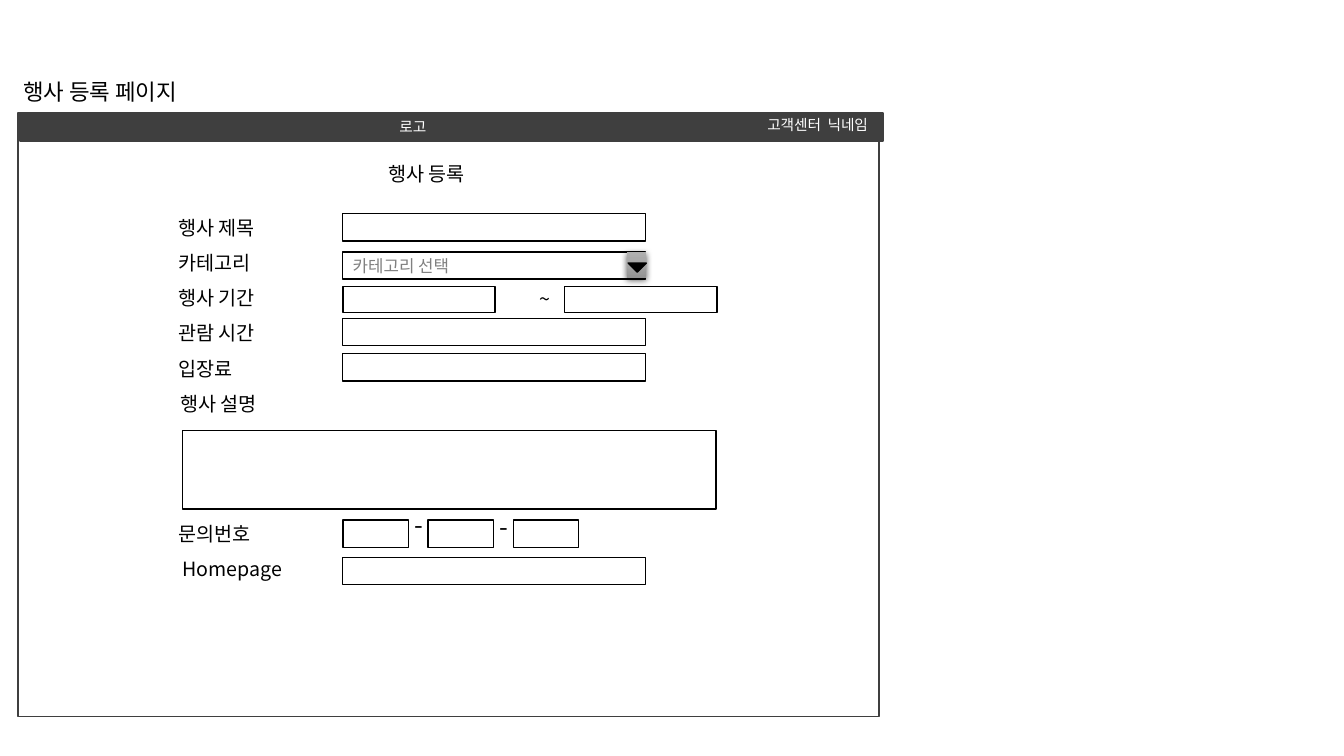
from copy import deepcopy

from lxml import etree
from pptx import Presentation
from pptx.dml.color import RGBColor
from pptx.enum.shapes import MSO_SHAPE
from pptx.enum.text import MSO_ANCHOR, MSO_AUTO_SIZE, PP_ALIGN
from pptx.oxml import parse_xml
from pptx.oxml.ns import qn
from pptx.util import Inches, Pt

RECTANGLE = MSO_SHAPE.RECTANGLE
TRIANGLE = MSO_SHAPE.ISOSCELES_TRIANGLE
MIDDLE = MSO_ANCHOR.MIDDLE
LEFT, CENTER = PP_ALIGN.LEFT, PP_ALIGN.CENTER
FIT_TEXT = MSO_AUTO_SIZE.SHAPE_TO_FIT_TEXT

FONT = "Noto Sans CJK KR"
BLACK, WHITE, DARK, GRAY = "000000", "FFFFFF", "3F3F3F", "808080"
NAMESPACE = "http://schemas.openxmlformats.org/drawingml/2006/main"
BUTTON_SHADOW = (
    f'<a:outerShdw xmlns:a="{NAMESPACE}" blurRad="57150" dist="19050" dir="5400000" '
    'algn="ctr" rotWithShape="0"><a:srgbClr val="000000"><a:alpha val="63000"/>'
    '</a:srgbClr></a:outerShdw>'
)
FIELD_LEFT, FIELD_WIDTH, FIELD_HEIGHT = 1.73, 3, 0.27
LABEL_HEIGHT = 0.34


def color(value):
    """Return the colour for a hex string."""
    return RGBColor.from_string(value)


def add_run(paragraph, text, size, text_color):
    """Add a run with its Latin and East Asian font."""
    run = paragraph.add_run()
    run.text = text
    run.font.size = Pt(size)
    run.font.name = FONT
    run.font.color.rgb = color(text_color)
    east_asian = etree.SubElement(run.font._element, qn("a:ea"))
    east_asian.set("typeface", FONT)


def add_outline(shapes, kind, left, top, width, height, fill=WHITE, line=BLACK):
    """Add a filled preset shape with a one-point outline."""
    shape = shapes.add_shape(kind, Inches(left), Inches(top), Inches(width), Inches(height))
    shape.shadow.inherit = False
    shape.fill.solid()
    shape.fill.fore_color.rgb = color(fill)
    shape.line.color.rgb = color(line)
    shape.line.width = Pt(1)
    return shape


def add_label(slide, text, left, top, width, height=LABEL_HEIGHT, size=14, wrap=True):
    """Add a black text box that grows with its text."""
    box = slide.shapes.add_textbox(Inches(left), Inches(top), Inches(width), Inches(height))
    frame = box.text_frame
    frame.word_wrap = wrap
    frame.auto_size = FIT_TEXT
    add_run(frame.paragraphs[0], text, size, BLACK)


def add_bar_text(slide, text, left, top, width, height):
    """Add centred white text without margins for the header bar."""
    box = slide.shapes.add_textbox(Inches(left), Inches(top), Inches(width), Inches(height))
    frame = box.text_frame
    frame.word_wrap = True
    frame.vertical_anchor = MIDDLE
    frame.margin_left = frame.margin_right = frame.margin_top = frame.margin_bottom = 0
    frame.paragraphs[0].alignment = CENTER
    add_run(frame.paragraphs[0], text, 10.5, WHITE)


def add_header(slide, left, top, width, height):
    """Add the dark bar with the logo text and the user menu."""
    add_outline(slide.shapes, RECTANGLE, left, top, width, height, DARK, DARK)
    add_bar_text(slide, "로고", left + 3.54, top, 0.71, height)
    add_bar_text(slide, "고객센터  닉네임", left + 7.29, top - 0.02, 1.24, height)


def add_dropdown_button(slide, left, top, width, height):
    """Add the shaded button with its downward arrow as a group."""
    group = slide.shapes.add_group_shape()
    button = add_outline(group.shapes, RECTANGLE, left, top, width, height)
    button.line.fill.background()
    button.fill.gradient()
    button.fill.gradient_angle = 270
    stops = button._element.spPr.find(qn("a:gradFill")).find(qn("a:gsLst"))
    stops.insert(1, deepcopy(stops[0]))
    shades = [(0, "AFAFAF"), (0.5, "A5A5A5"), (1, "939393")]
    for stop, (position, shade) in zip(button.fill.gradient_stops, shades):
        stop.position = position
        stop.color.rgb = color(shade)
    button._element.spPr.find(qn("a:effectLst")).append(parse_xml(BUTTON_SHADOW))
    arrow = add_outline(group.shapes, TRIANGLE, left + 0.01, top + 0.11, 0.18, 0.09, BLACK)
    arrow.rotation = 180


def add_category(slide, left, top, width, height):
    """Add the category selector."""
    field = add_outline(slide.shapes, RECTANGLE, left, top, width, height)
    field.text_frame.vertical_anchor = MIDDLE
    field.text_frame.paragraphs[0].alignment = LEFT
    add_run(field.text_frame.paragraphs[0], "카테고리 선택", 12, GRAY)
    add_dropdown_button(slide, left + width - 0.18, top, 0.19, 0.26)


def add_period(slide, left, top, width, height):
    """Add the start and end fields of the event period."""
    for field_left in (left, left + 2.2):
        add_outline(slide.shapes, RECTANGLE, field_left, top, width, height)
    add_label(slide, "~", left + 1.85, top - 0.04, 0.59)


def add_phone(slide, left, top, width, height):
    """Add the three phone number fields and the dashes between them."""
    for index in range(3):
        add_outline(slide.shapes, RECTANGLE, left + index * 0.845, top, width, height)
    for index in range(2):
        add_label(slide, "-", left + 0.61 + index * 0.85, top - 0.16 + index * 0.02,
                  0.51, 0.4, 18)


def add_form(slide, left, top):
    """Add the form title, the row labels and the input fields."""
    add_label(slide, "행사 등록", left + 2.08, top, 2.72)
    labels = [
        ("행사 제목", 0, 0.53), ("카테고리", 0, 0.88), ("행사 기간", 0, 1.23),
        ("관람 시간", 0, 1.57), ("입장료", 0, 1.93), ("행사 설명", 0.02, 2.28),
        ("문의번호", 0, 3.57), ("Homepage", 0.04, 3.92),
    ]
    for text, indent, offset in labels:
        add_label(slide, text, left + indent, top + offset, 1.29)
    field_left = left + FIELD_LEFT
    for offset in (0.56, 1.6, 1.95, 3.97):
        add_outline(slide.shapes, RECTANGLE, field_left, top + offset,
                    FIELD_WIDTH, FIELD_HEIGHT)
    add_category(slide, field_left, top + 0.94, FIELD_WIDTH, FIELD_HEIGHT)
    add_period(slide, field_left, top + 1.28, 1.51, 0.26)
    add_outline(slide.shapes, RECTANGLE, left + 0.14, top + 2.71, 5.29, 0.78)
    add_phone(slide, field_left, top + 3.6, 0.65, FIELD_HEIGHT)


def add_page(slide, left, top, width, height):
    """Add the event registration page with its caption."""
    add_outline(slide.shapes, RECTANGLE, left, top, width, height, WHITE, DARK)
    add_header(slide, left + 0.02, top, width + 0.02, 0.28)
    add_label(slide, "행사 등록 페이지", left - 0.05, top - 0.39, 1.91, 0.37, 16, False)
    add_form(slide, left + 1.49, top + 0.44)


def main():
    """Build and save the presentation."""
    presentation = Presentation()
    presentation.slide_width = Inches(13.33)
    presentation.slide_height = Inches(7.5)
    slide = presentation.slides.add_slide(presentation.slide_layouts[6])
    add_page(slide, 0.18, 1.12, 8.54, 5.99)
    presentation.save("out.pptx")


if __name__ == "__main__":
    main()
